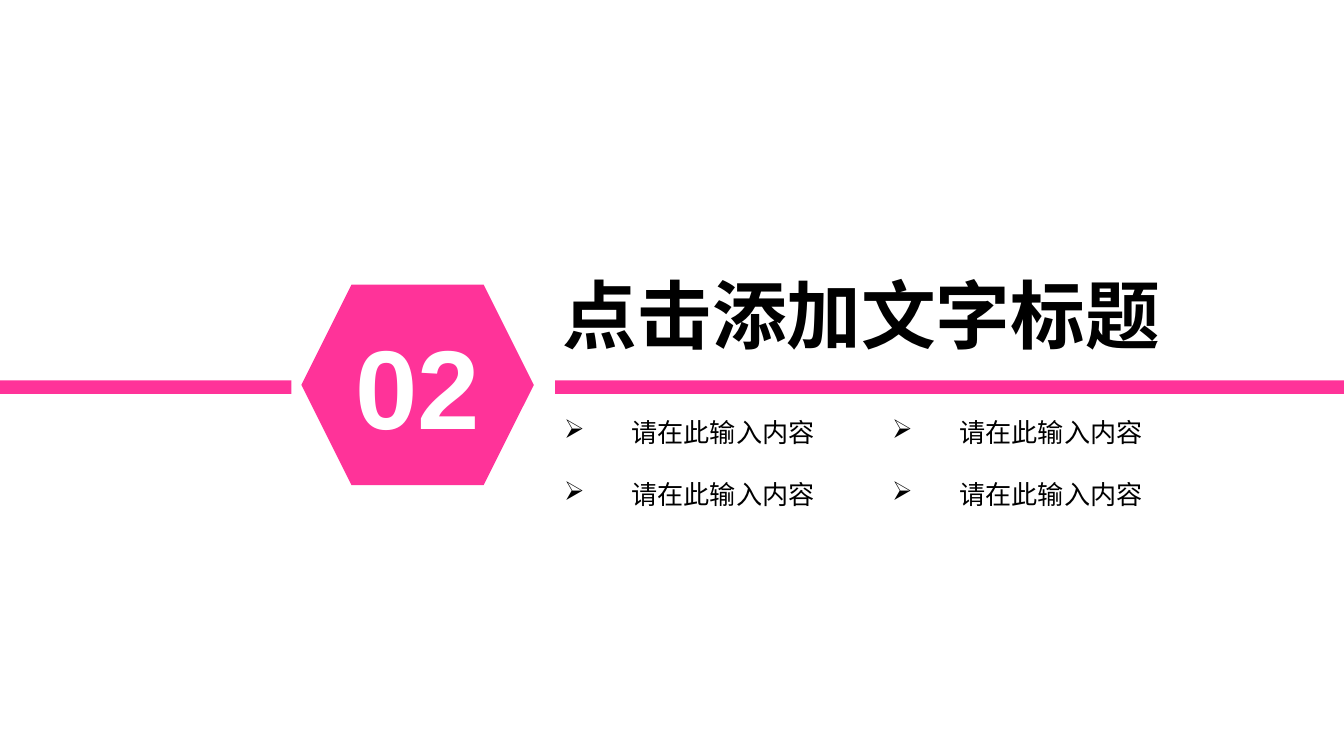
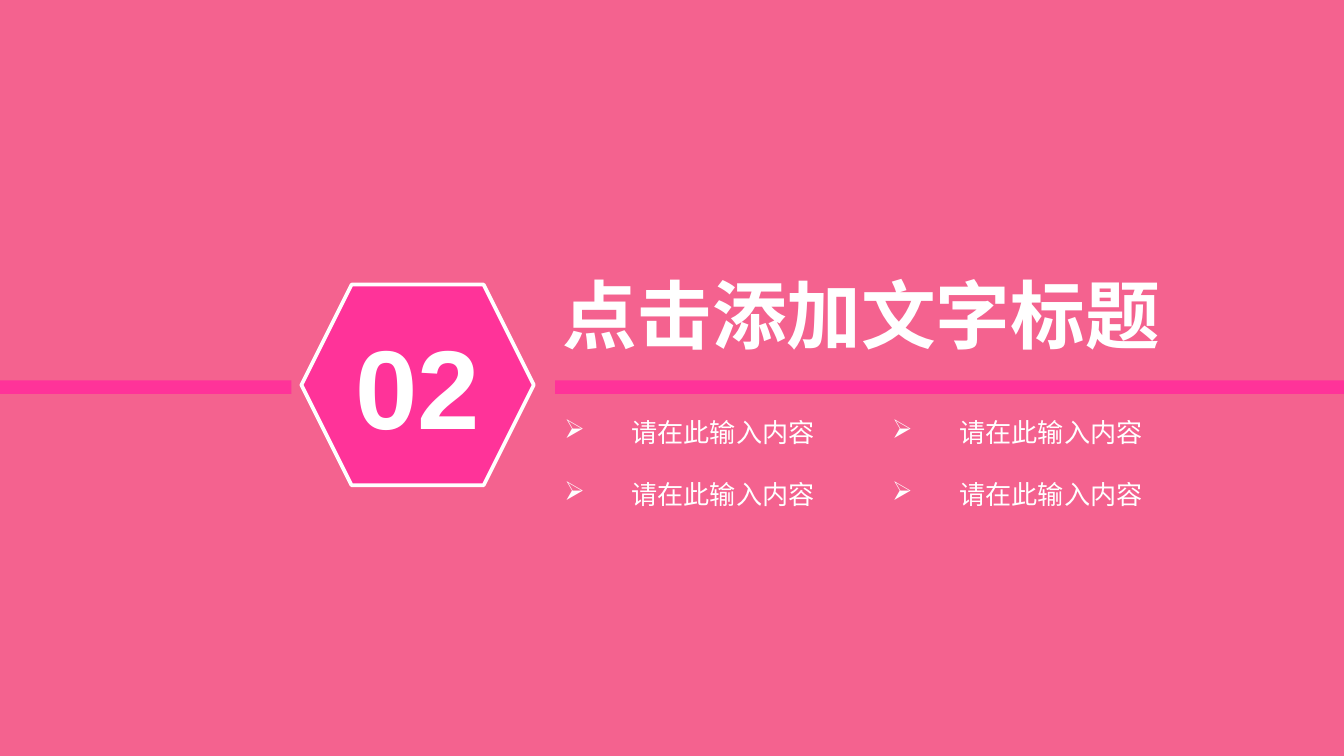
from lxml import etree
from pptx import Presentation
from pptx.dml.color import RGBColor
from pptx.enum.shapes import MSO_SHAPE
from pptx.enum.text import MSO_ANCHOR, MSO_AUTO_SIZE, PP_ALIGN
from pptx.oxml.ns import qn
from pptx.util import Pt

RECT, HEX = MSO_SHAPE.RECTANGLE, MSO_SHAPE.HEXAGON
MIDDLE, CENTER = MSO_ANCHOR.MIDDLE, PP_ALIGN.CENTER
GROW = MSO_AUTO_SIZE.SHAPE_TO_FIT_TEXT
rgb = RGBColor.from_string

PINK, WHITE, BLACK = "FF3399", "FFFFFF", "000000"
CJK = "Noto Sans CJK SC"
WIDE, HIGH = 720, 405
BAR_TOP, BAR_HIGH = 203.8, 7.2
LEFT_END, RIGHT_START = 156.2, 297.4
ITEM_X, ITEM_Y, STEP_X, STEP_Y = 295.2, 219.6, 175.7, 33.1
INDENT = 36

# background, ink, hexagon outline, item width, item height
THEMES = [
    (WHITE, BLACK, None, 177.8, 28.8),
    ("F4628F", WHITE, WHITE, 149.8, 24.5),
]


def add_block(slide, kind, x, y, w, h):
    """Add a pink shape without outline or shadow."""
    block = slide.shapes.add_shape(kind, Pt(x), Pt(y), Pt(w), Pt(h))
    block.shadow.inherit = False
    block.fill.solid()
    block.fill.fore_color.rgb = rgb(PINK)
    block.line.fill.background()
    return block


def add_label(slide, text, x, y, w, h, size, ink, bold=False, bullet=None):
    """Add one line of text that does not wrap, with an optional bullet."""
    box = slide.shapes.add_textbox(Pt(x), Pt(y), Pt(w), Pt(h))
    frame = box.text_frame
    frame.text = text
    frame.word_wrap = False
    frame.auto_size = GROW
    para = frame.paragraphs[0]
    if bullet:
        props = para._p.get_or_add_pPr()
        props.set("marL", str(Pt(INDENT)))
        props.set("indent", str(-Pt(INDENT)))
        etree.SubElement(props, qn("a:buChar"), char=bullet)
    font = para.runs[0].font
    font.size, font.bold, font.name = Pt(size), bold, CJK
    font.color.rgb = rgb(ink)
    etree.SubElement(para.runs[0]._r.rPr, qn("a:ea"), typeface=CJK)


deck = Presentation()
deck.slide_width, deck.slide_height = Pt(WIDE), Pt(HIGH)

for back, ink, edge, item_w, item_h in THEMES:
    slide = deck.slides.add_slide(deck.slide_layouts[6])
    slide.background.fill.solid()
    slide.background.fill.fore_color.rgb = rgb(back)

    add_block(slide, RECT, 0, BAR_TOP, LEFT_END, BAR_HIGH)

    badge = add_block(slide, HEX, 161.5, 152.5, 124.5, 107.5)
    if edge:
        badge.line.color.rgb = rgb(edge)
        badge.line.width = Pt(2)
    frame = badge.text_frame
    frame.text = "02"
    frame.margin_left = frame.margin_right = 0
    frame.vertical_anchor = MIDDLE
    para = frame.paragraphs[0]
    para.alignment = CENTER
    font = para.runs[0].font
    font.size, font.bold, font.name = Pt(60), True, "Arial"
    font.color.rgb = rgb(WHITE)

    add_block(slide, RECT, RIGHT_START, BAR_TOP, WIDE - RIGHT_START, BAR_HIGH)
    add_label(slide, "点击添加文字标题", 294.5, 140.4, 337.7, 55.4, 40, ink, bold=True)
    for row in range(2):
        for col in range(2):
            add_label(slide, "请在此输入内容", ITEM_X + col * STEP_X,
                      ITEM_Y + row * STEP_Y, item_w, item_h, 14, ink, bullet="➢")

deck.save("out.pptx")
